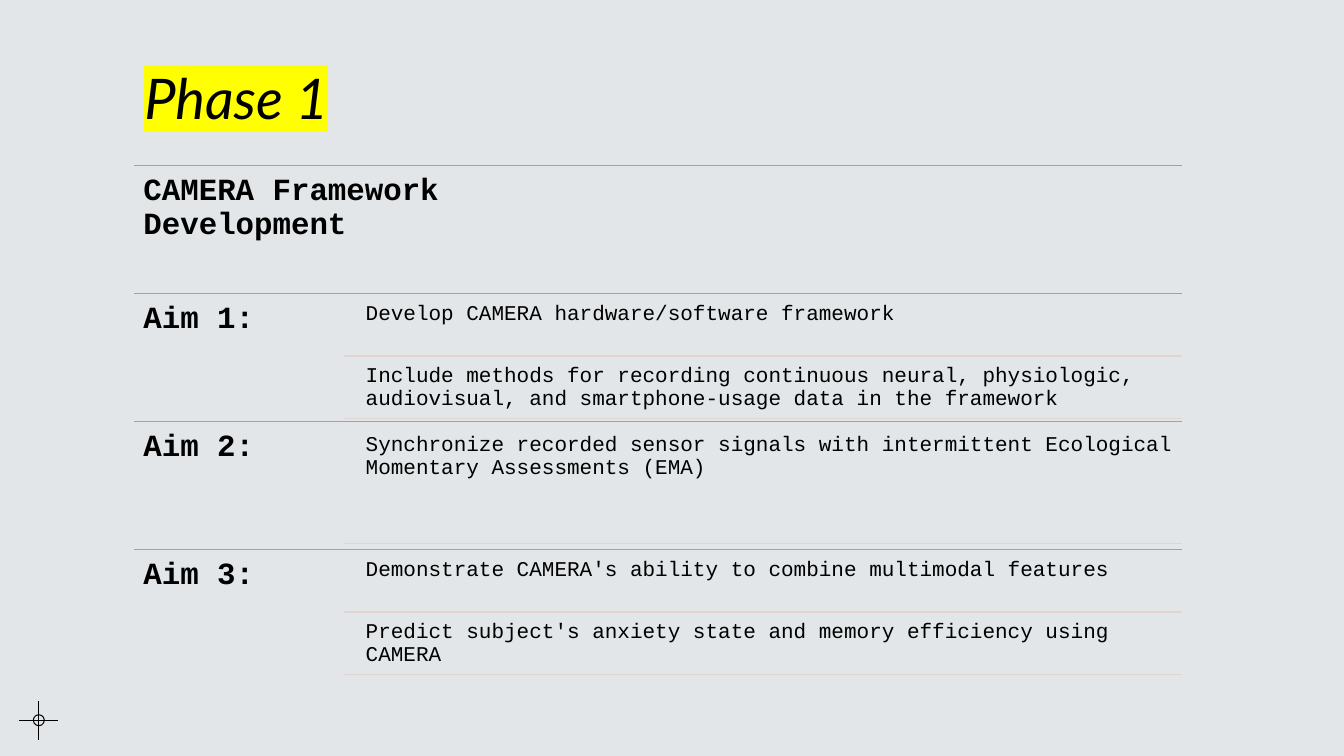
from lxml.etree import SubElement
from pptx import Presentation
from pptx.dml.color import RGBColor
from pptx.enum.shapes import MSO_CONNECTOR, MSO_SHAPE
from pptx.enum.text import MSO_ANCHOR
from pptx.oxml.ns import qn
from pptx.util import Inches, Pt

BACKGROUND = RGBColor(0xE2, 0xE6, 0xE8)
BLACK = RGBColor(0, 0, 0)
SECTION_RULE = RGBColor(0xBE, 0x9A, 0x86)
DETAIL_RULE = RGBColor(0xE2, 0xD4, 0xCE)
HIGHLIGHT = RGBColor(0xFF, 0xFF, 0)
BODY_FONT = "Courier New"

WIDTH, HEIGHT = 13.33, 7.5
HEADING = "CAMERA Framework Development"
AIMS = [
    ("Aim 1:", [
        "Develop CAMERA hardware/software framework",
        "Include methods for recording continuous neural, physiologic, "
        "audiovisual, and smartphone-usage data in the framework",
    ]),
    ("Aim 2:", [
        "Synchronize recorded sensor signals with intermittent Ecological "
        "Momentary Assessments (EMA)",
    ]),
    ("Aim 3:", [
        "Demonstrate CAMERA's ability to combine multimodal features",
        "Predict subject's anxiety state and memory efficiency using CAMERA",
    ]),
]


def add_text(page, text, left, top, width, height, size, font=BODY_FONT,
             bold=False, italic=False, inset=0.1, spacing=0.9,
             anchor=MSO_ANCHOR.TOP, highlight=None):
    box = page.shapes.add_textbox(*map(Inches, (left, top, width, height)))
    frame = box.text_frame
    frame.word_wrap = True
    frame.vertical_anchor = anchor
    frame.margin_left = frame.margin_right = Inches(inset)
    frame.margin_top = frame.margin_bottom = Inches(inset)
    para = frame.paragraphs[0]
    para.line_spacing = spacing
    span = para.add_run()
    span.text = text
    span.font.size = Pt(size)
    span.font.bold = bold
    span.font.italic = italic
    span.font.color.rgb = BLACK
    if highlight is not None:
        properties = span.font.fill._xPr
        marker = SubElement(properties, qn("a:highlight"))
        SubElement(marker, qn("a:srgbClr"), val=str(highlight))
    span.font.name = font


def add_rule(page, left, top, right, bottom, color, weight=1):
    rule = page.shapes.add_connector(
        MSO_CONNECTOR.STRAIGHT, *map(Inches, (left, top, right, bottom)))
    rule.line.color.rgb = color
    rule.line.width = Pt(weight)
    SubElement(rule._element.spPr, qn("a:effectLst"))


def add_crosshair(page, left, top, size):
    middle_x, middle_y = left + size / 2, top + size / 2
    add_rule(page, left, middle_y, left + size, middle_y, BLACK, 0.75)
    add_rule(page, middle_x, top + size, middle_x, top, BLACK, 0.75)
    diameter = size * 0.28
    ring = page.shapes.add_shape(MSO_SHAPE.OVAL, *map(Inches, (
        middle_x - diameter / 2, middle_y - diameter / 2, diameter, diameter)))
    ring.shadow.inherit = False
    ring.fill.background()
    ring.line.color.rgb = BLACK
    ring.line.width = Pt(0.75)


def add_section(page, label, details, left, top, width, height):
    label_width = width * (0.2 if details else 0.5)
    right = left + width
    add_rule(page, left, top, right, top, SECTION_RULE)
    add_text(page, label, left, top, label_width, height, 22, bold=True,
             inset=0.09)
    count = len(details)
    row_height = height / (count + 0.05 * (count + 1))
    gap = row_height * 0.05
    detail_left = left + width * 0.215
    for index, detail in enumerate(details):
        row_top = top + gap + index * (row_height + gap)
        row_bottom = row_top + row_height
        add_text(page, detail, detail_left, row_top, right - detail_left,
                 row_height, 15, inset=0.06)
        add_rule(page, left + label_width, row_bottom, right, row_bottom,
                 DETAIL_RULE)


def add_outline(page, left, top, width, height):
    sections = [(HEADING, [])] + AIMS
    section_height = height / len(sections)
    for index, (label, details) in enumerate(sections):
        add_section(page, label, details, left, top + index * section_height,
                    width, section_height)


def main():
    deck = Presentation()
    deck.slide_width, deck.slide_height = Inches(WIDTH), Inches(HEIGHT)
    page = deck.slides.add_slide(deck.slide_layouts[6])
    page.background.fill.solid()
    page.background.fill.fore_color.rgb = BACKGROUND
    margin = WIDTH * 0.1
    add_crosshair(page, 0.19, 6.95, 0.39)
    add_text(page, "Phase 1", margin, 0.45, 10.38, 0.95, 40, font="Lato",
             italic=True, spacing=1.2, anchor=MSO_ANCHOR.BOTTOM,
             highlight=HIGHLIGHT)
    add_outline(page, margin, 1.64, 10.39, 5.08)
    deck.save("out.pptx")


if __name__ == "__main__":
    main()
